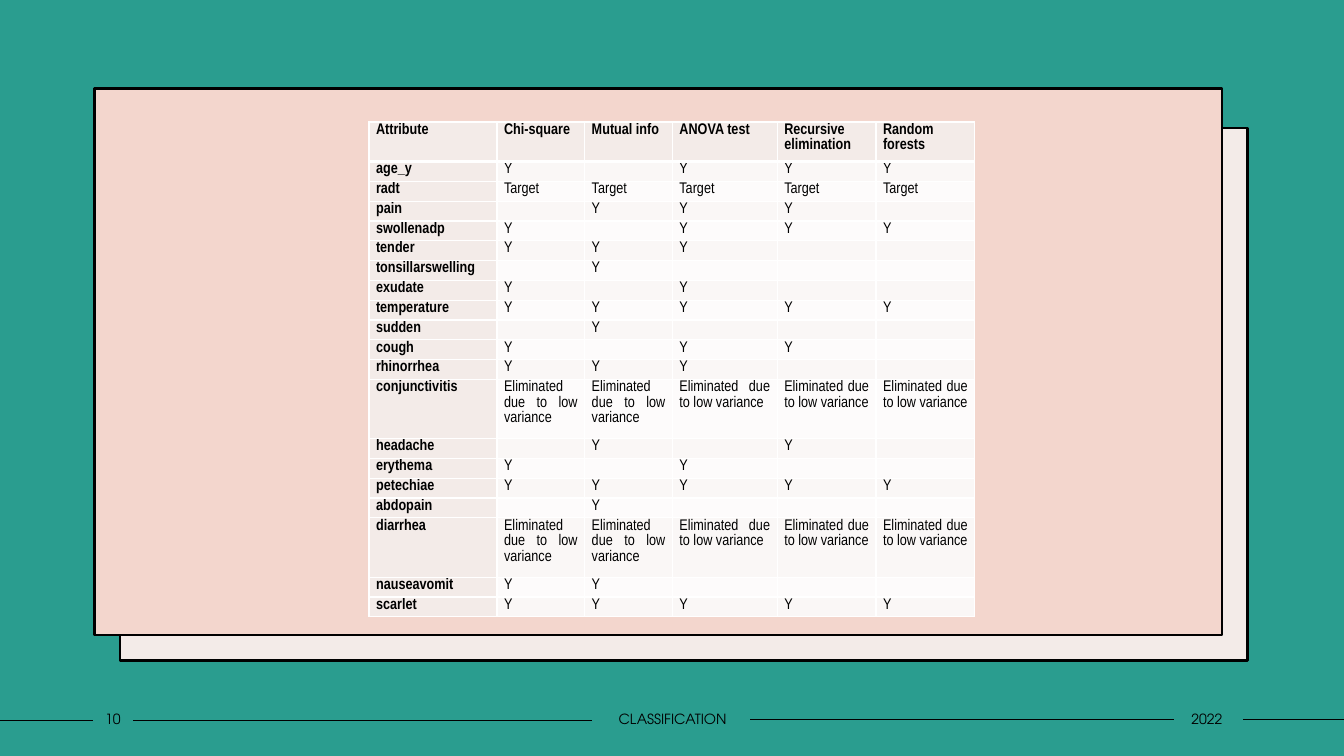
"""Build the slide comparing attributes kept by five feature selection methods."""
from lxml.etree import SubElement
from pptx import Presentation
from pptx.dml.color import RGBColor
from pptx.enum.shapes import MSO_CONNECTOR as CONN, MSO_SHAPE as SHAPE
from pptx.enum.text import MSO_ANCHOR as ANCHOR, PP_ALIGN as ALIGN
from pptx.oxml import parse_xml
from pptx.oxml.ns import nsdecls, qn
from pptx.util import Inches, Pt

HEADER = ["Attribute", "Chi-square", "Mutual info", "ANOVA test",
          "Recursive elimination", "Random forests"]
LOW = "Eliminated due to low variance"
ATTRIBUTES = [
    ("age_y", "Y", "", "Y", "Y", "Y"),
    ("radt", *["Target"] * 5),
    ("pain", "", "Y", "Y", "Y", ""),
    ("swollenadp", "Y", "", "Y", "Y", "Y"),
    ("tender", "Y", "Y", "Y", "", ""),
    ("tonsillarswelling", "", "Y", "", "", ""),
    ("exudate", "Y", "", "Y", "", ""),
    ("temperature", "Y", "Y", "Y", "Y", "Y"),
    ("sudden", "", "Y", "", "", ""),
    ("cough", "Y", "", "Y", "Y", ""),
    ("rhinorrhea", "Y", "Y", "Y", "", ""),
    ("conjunctivitis", *[LOW] * 5),
    ("headache", "", "Y", "", "Y", ""),
    ("erythema", "Y", "", "Y", "", ""),
    ("petechiae", "Y", "Y", "Y", "Y", "Y"),
    ("abdopain", "", "Y", "", "", ""),
    ("diarrhea", *[LOW] * 5),
    ("nauseavomit", "Y", "Y", "", "", ""),
    ("scarlet", "Y", "Y", "Y", "Y", "Y"),
]
COL_WIDTHS = [1.27, 0.87, 0.87, 1.04, 0.98, 0.98]
PANELS = [(1.19, 1.27, 11.18, 5.28, "F3EBE8"), (0.94, 0.88, 11.18, 5.42, "F3D6CD")]
RULES = [(0, 0.92, 7.15), (1.32, 5.87, 7.15), (7.44, 11.64, 7.14), (12.33, 13.33, 7.14)]
FOOTER = [("2022", 11.62, 0.7), ("CLASSIFICATION", 5.87, 1.6), ("10", 0.92, 0.4)]
FOOTER_FONT, TABLE_FONT = "TeX Gyre Adventor", "Arial Narrow"
BLACK, WHITE, TEAL, CREAM = "000000", "FFFFFF", "2A9D8F", "F3EBE8"
BANDS = ["FDFBFB", "FAF7F6"]


def color(value):
    return RGBColor.from_string(value)


def paint(fill, value):
    fill.solid()
    fill.fore_color.rgb = color(value)


def style(obj, **values):
    for name, value in values.items():
        setattr(obj, name, value)


def write(p, text, font, size, bold=False):
    r = p.add_run()
    r.text = text
    style(r.font, name=font, size=Pt(size), bold=bold)
    r.font.color.rgb = color(BLACK)


def set_borders(cell, widths):
    tc_pr = cell._tc.get_or_add_tcPr()
    for i, (side, width) in enumerate(zip("LRTB", widths)):
        tc_pr.insert(i, parse_xml(
            f'<a:ln{side} {nsdecls("a")} w="{Pt(width)}"><a:solidFill>'
            f'<a:srgbClr val="{WHITE}"/></a:solidFill></a:ln{side}>'))


def add_panel(s, x, y, w, h, fill):
    sp = s.shapes.add_shape(SHAPE.RECTANGLE, *map(Inches, (x, y, w, h)))
    sp.shadow.inherit = False
    paint(sp.fill, fill)
    sp.line.color.rgb = color(BLACK)
    sp.line.width = Pt(2)


def add_rule(s, x1, x2, y):
    line = s.shapes.add_connector(CONN.STRAIGHT, *map(Inches, (x1, y, x2, y)))
    line.line.color.rgb = color(BLACK)
    line.line.width = Pt(1)
    SubElement(line._element.spPr, qn("a:effectLst"))


def add_footer(s, text, x, w):
    tf = s.shapes.add_textbox(*map(Inches, (x, 7, w, 0.27))).text_frame
    style(tf, word_wrap=True, vertical_anchor=ANCHOR.MIDDLE, margin_left=0, margin_right=0,
          margin_top=Inches(0.05), margin_bottom=Inches(0.05))
    p = tf.paragraphs[0]
    p.alignment = ALIGN.CENTER
    write(p, text, FOOTER_FONT, 10)


def fill_cell(cell, text, row, col):
    heading = row == 0 or col == 0
    style(cell, margin_left=Inches(0.07), margin_right=Inches(0.07),
          margin_top=0, margin_bottom=0)
    paint(cell.fill, CREAM if heading else BANDS[row % 2])
    set_borders(cell, (1, 1, 3 if row == 1 else 1, 3 if row == 0 else 1))
    p = cell.text_frame.paragraphs[0]
    style(p, alignment=ALIGN.JUSTIFY, line_spacing=1.07)
    if text:
        write(p, text, TABLE_FONT, 11, heading)
    else:
        end = SubElement(p._p, qn("a:endParaRPr"), sz="1100")
        SubElement(end, qn("a:latin"), typeface=TABLE_FONT)


def add_attribute_table(s):
    rows = [HEADER] + ATTRIBUTES
    table = s.shapes.add_table(len(rows), len(HEADER),
                               *map(Inches, (3.66, 1.21, 6.01, 4.76))).table
    for column, width in zip(table.columns, COL_WIDTHS):
        column.width = Inches(width)
    for i, values in enumerate(rows):
        height = 0.39 if i == 0 else 0.58 if LOW in values else 0.19
        table.rows[i].height = Inches(height)
        for j, text in enumerate(values):
            fill_cell(table.cell(i, j), text, i, j)


def main():
    prs = Presentation()
    style(prs, slide_width=Inches(13.33), slide_height=Inches(7.5))
    s = prs.slides.add_slide(prs.slide_layouts[6])
    paint(s.background.fill, TEAL)
    for rule in RULES:
        add_rule(s, *rule)
    for panel in PANELS:
        add_panel(s, *panel)
    for item in FOOTER:
        add_footer(s, *item)
    add_attribute_table(s)
    prs.save("out.pptx")


if __name__ == "__main__":
    main()
